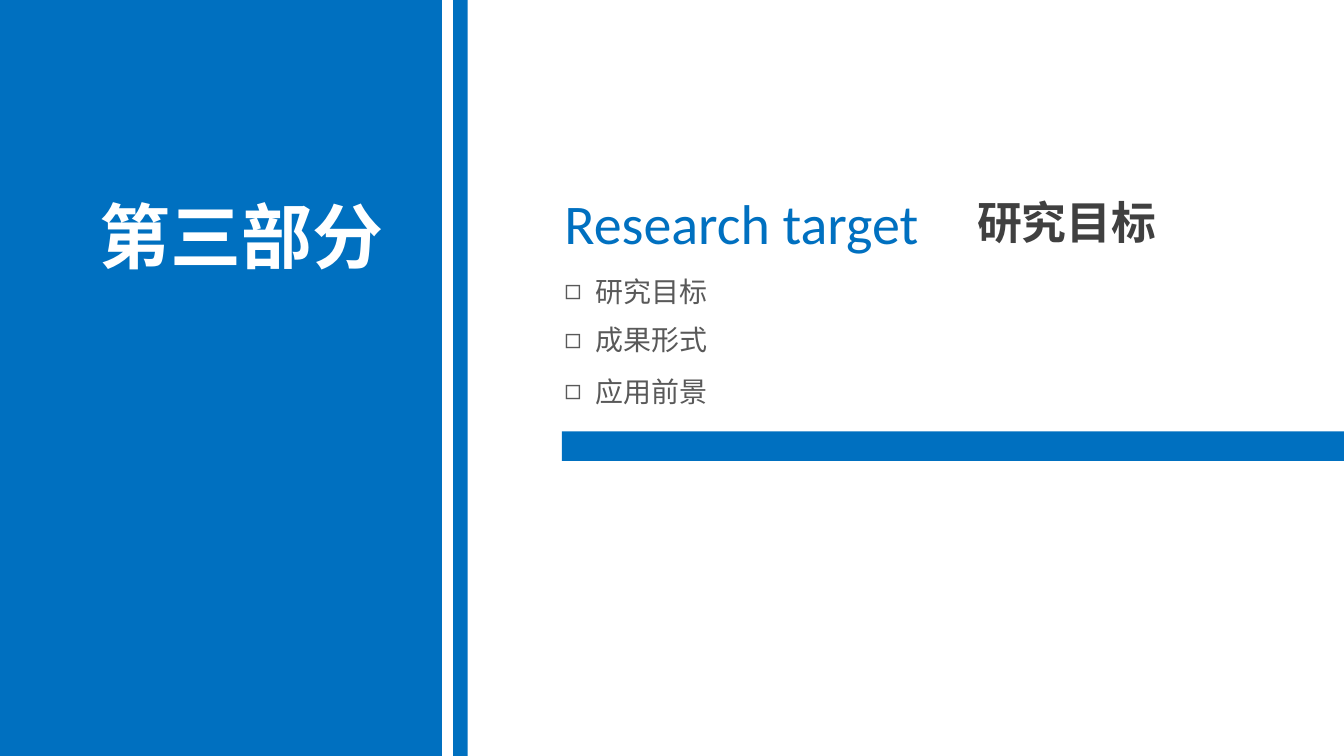
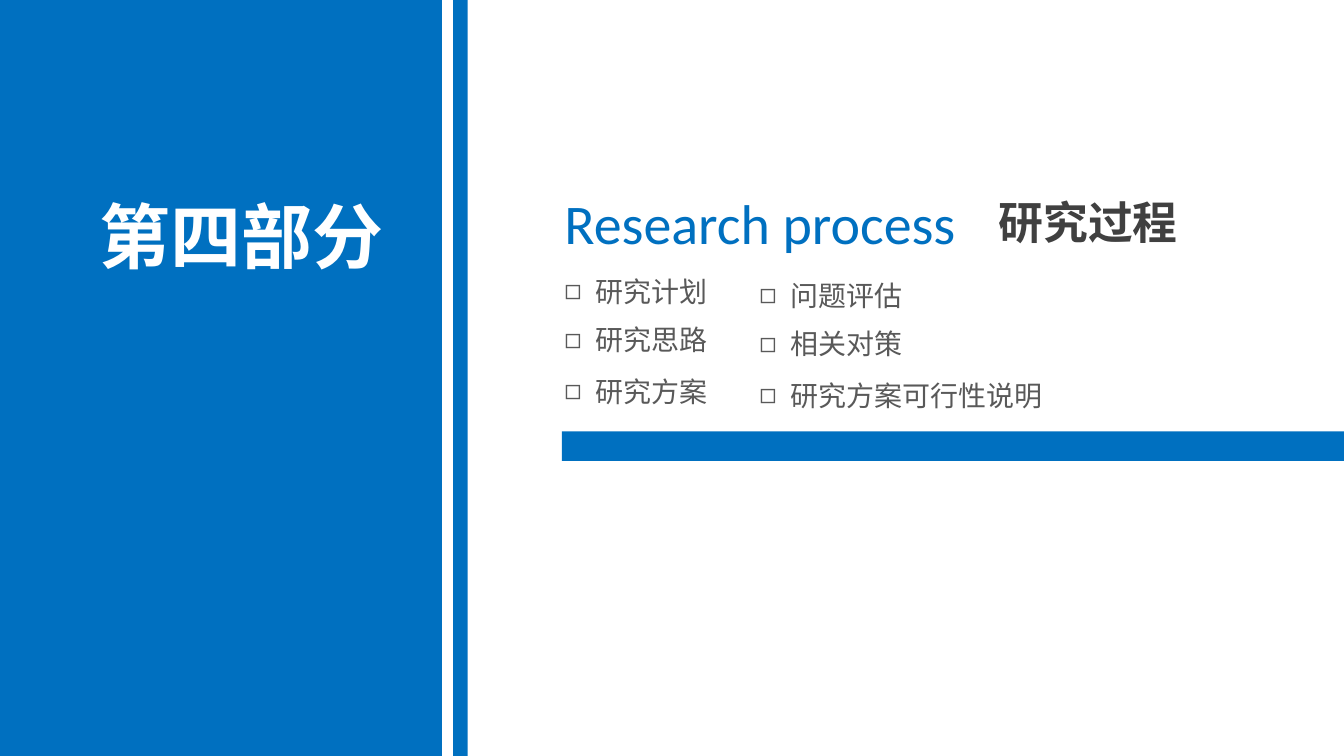
from lxml import etree
from pptx import Presentation
from pptx.dml.color import RGBColor
from pptx.enum.shapes import MSO_SHAPE
from pptx.enum.text import MSO_ANCHOR, MSO_AUTO_SIZE, PP_ALIGN
from pptx.oxml.ns import qn
from pptx.util import Inches, Pt

RECTANGLE = MSO_SHAPE.RECTANGLE
TOP = MSO_ANCHOR.TOP
NO_AUTOFIT = MSO_AUTO_SIZE.NONE
GROW = MSO_AUTO_SIZE.SHAPE_TO_FIT_TEXT
LEFT, CENTER = PP_ALIGN.LEFT, PP_ALIGN.CENTER

COLORS = {"blue": "0070C0", "white": "FFFFFF", "heading": "404040", "item": "595959"}
FONT = "Calibri"
WIDTH = 10
HEIGHT = WIDTH * 9 / 16
LAYOUT_BY_COLUMNS = {1: 1, 2: 3}
ITEM_PITCHES = (26, 27.5)
BULLET_INDENT = 0.23

# Each heading is (text, box); each list is (items, box).
SECTIONS = [
    {
        "part": "第三部分",
        "english": ("Research target", (4.13, 1.36, 2.81, 0.58)),
        "chinese": ("研究目标", (7.2, 1.41, 1.5, 0.48)),
        "lists": [(("研究目标", "成果形式", "应用前景"), (4.13, 2, 1.4, 1.07))],
    },
    {
        "part": "第四部分",
        "english": ("Research process", (4.13, 1.36, 3.09, 0.58)),
        "chinese": ("研究过程", (7.36, 1.41, 1.5, 0.48)),
        "lists": [
            (("研究计划", "研究思路", "研究方案"), (4.13, 2, 1.4, 1.07)),
            (("问题评估", "相关对策", "研究方案可行性说明"), (5.58, 2.03, 2.4, 1.07)),
        ],
    },
]


def place(shape, box):
    shape.left, shape.top, shape.width, shape.height = map(Inches, box)


def prepare_frame(shape, wrap, auto_size):
    frame = shape.text_frame
    frame.margin_left = frame.margin_right = Inches(0.07)
    frame.margin_top = frame.margin_bottom = Inches(0.04)
    frame.vertical_anchor = TOP
    frame.word_wrap = wrap
    frame.auto_size = auto_size
    return frame


def style_paragraph(paragraph, size, color, bold=False, alignment=LEFT):
    paragraph.alignment = alignment
    paragraph.space_before = Pt(0)
    font = paragraph.font
    font.name, font.size, font.bold = FONT, Pt(size), bold
    font.color.rgb = RGBColor.from_string(COLORS[color])


def add_band(slide, box, color):
    """Add a plain rectangle behind the slide's placeholders."""
    band = slide.shapes.add_shape(RECTANGLE, *map(Inches, box))
    band.shadow.inherit = False
    band.fill.solid()
    band.fill.fore_color.rgb = RGBColor.from_string(COLORS[color])
    band.line.fill.background()
    slide.shapes.title.element.addprevious(band.element)


def add_bands(slide):
    add_band(slide, (3.48, 0, WIDTH - 3.48, HEIGHT), "white")
    add_band(slide, (3.29, 0, 0.08, HEIGHT), "white")
    add_band(slide, (4.18, 3.21, WIDTH - 4.18, 0.22), "blue")


def fill_part_title(title, text):
    place(title, (0.43, 1.39, 2.74, 0.72))
    frame = prepare_frame(title, True, NO_AUTOFIT)
    frame.text = text
    style_paragraph(frame.paragraphs[0], 38, "white", True, CENTER)


def add_heading(slide, heading, size, color, bold=False):
    text, box = heading
    frame = prepare_frame(slide.shapes.add_textbox(*map(Inches, box)), False, GROW)
    frame.text = text
    style_paragraph(frame.paragraphs[0], size, color, bold)


def add_bullet(paragraph):
    properties = paragraph._p.get_or_add_pPr()
    properties.set("marL", str(Inches(BULLET_INDENT)))
    properties.set("indent", str(-Inches(BULLET_INDENT)))
    etree.SubElement(properties, qn("a:buChar")).set("char", "◻")


def fill_list(placeholder, items, box):
    place(placeholder, box)
    frame = prepare_frame(placeholder, True, NO_AUTOFIT)
    frame.text = "\n".join(items)
    for paragraph in frame.paragraphs:
        add_bullet(paragraph)
        style_paragraph(paragraph, 15, "item")
    for paragraph, pitch in zip(frame.paragraphs[1:], ITEM_PITCHES):
        paragraph.line_spacing = Pt(pitch)


def add_section_slide(presentation, section):
    lists = section["lists"]
    layout = presentation.slide_layouts[LAYOUT_BY_COLUMNS[len(lists)]]
    slide = presentation.slides.add_slide(layout)
    title, *bodies = slide.placeholders
    add_bands(slide)
    fill_part_title(title, section["part"])
    for body, (items, box) in zip(bodies, lists):
        fill_list(body, items, box)
    add_heading(slide, section["english"], 30, "blue")
    add_heading(slide, section["chinese"], 24, "heading", True)


def main():
    presentation = Presentation()
    presentation.slide_width, presentation.slide_height = Inches(WIDTH), Inches(HEIGHT)
    background = presentation.slide_master.background.fill
    background.solid()
    background.fore_color.rgb = RGBColor.from_string(COLORS["blue"])
    for section in SECTIONS:
        add_section_slide(presentation, section)
    presentation.save("out.pptx")


if __name__ == "__main__":
    main()
